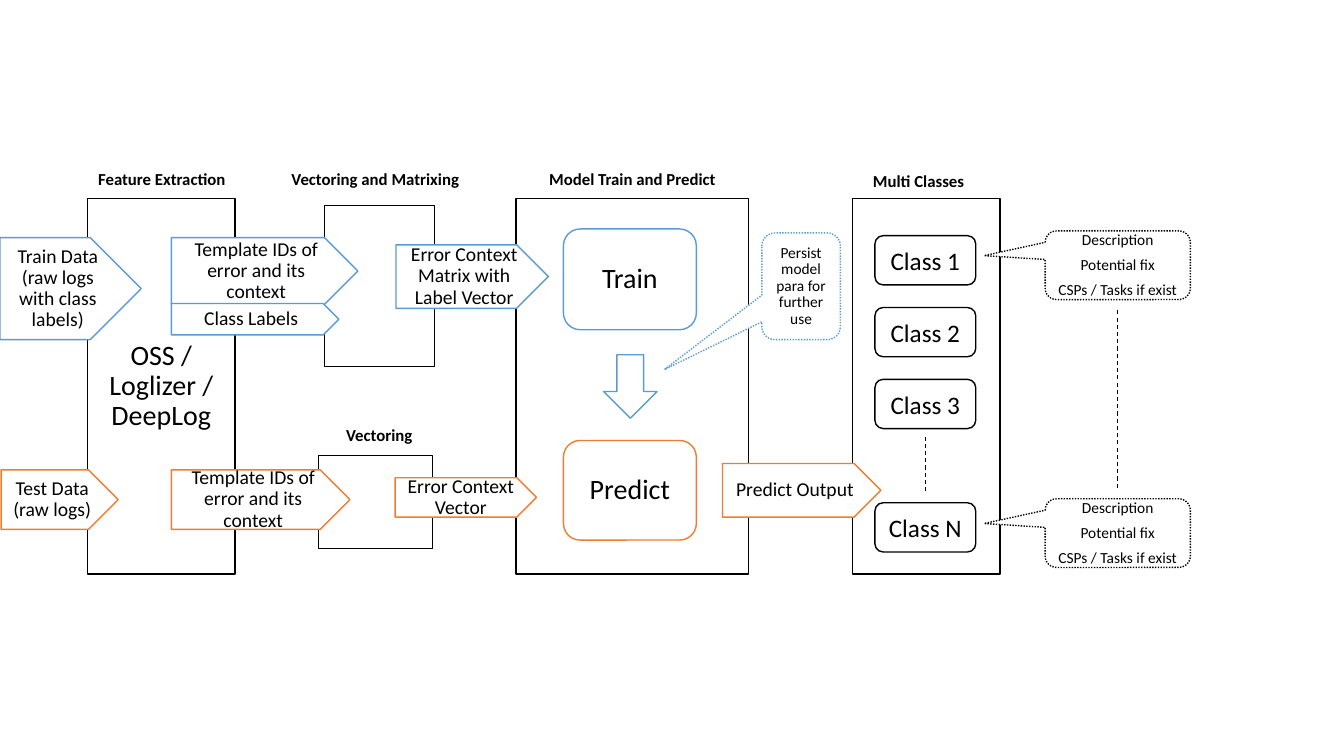
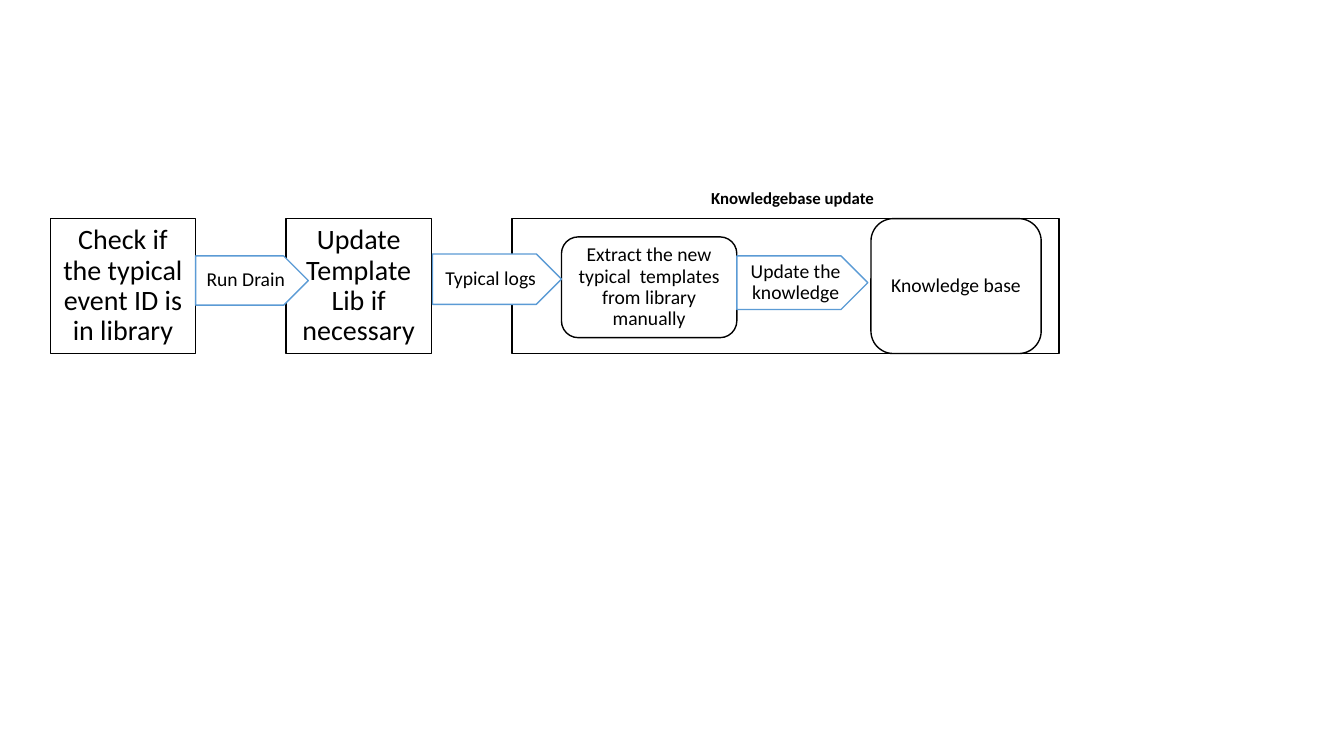
import dataclasses

import lxml.etree
import pptx
import pptx.dml.color
import pptx.enum.dml
import pptx.enum.shapes
import pptx.enum.text
import pptx.oxml.ns
import pptx.util

Cm = pptx.util.Cm
Pt = pptx.util.Pt
KIND = pptx.enum.shapes.MSO_SHAPE
DASH = pptx.enum.dml.MSO_LINE


# Shared look
@dataclasses.dataclass(frozen=True)
class Theme:
    font: str = "Calibri"
    ink: str = "000000"
    paper: str = "FFFFFF"
    train: str = "5B9BD5"
    test: str = "ED7D31"
    stage: int = 20
    label: int = 18
    step: int = 14
    heading: int = 12
    remark: int = 11
    outline: float = 1
    thin: float = 0.75


THEME = Theme()


def rgb(code):
    return pptx.dml.color.RGBColor.from_string(code)


def write(frame, text, size, bold=False, spacing=0.9, before=6):
    """Fill a frame with centred lines, one paragraph per line of text."""
    frame.word_wrap = True
    frame.vertical_anchor = pptx.enum.text.MSO_ANCHOR.MIDDLE
    frame.text = text
    for line in frame.paragraphs:
        line.alignment = pptx.enum.text.PP_ALIGN.CENTER
        line.line_spacing = spacing
        line.space_before = Pt(before)
        line.font.name = THEME.font
        line.font.size = Pt(size)
        line.font.bold = bold
        line.font.color.rgb = rgb(THEME.ink)


# Kinds of element
def outlined(slide, kind, box, color=THEME.ink, text="", size=THEME.step):
    shape = slide.shapes.add_shape(kind, *map(Cm, box))
    shape.shadow.inherit = False
    shape.fill.solid()
    shape.fill.fore_color.rgb = rgb(THEME.paper)
    shape.line.color.rgb = rgb(color)
    shape.line.width = Pt(THEME.outline)
    if text:
        write(shape.text_frame, text, size)
    return shape


def panel(slide, box, text=""):
    outlined(slide, KIND.RECTANGLE, box, text=text, size=THEME.stage)


def card(slide, box, text, color=THEME.ink, size=THEME.step):
    return outlined(slide, KIND.ROUNDED_RECTANGLE, box, color, text, size)


def flow(slide, box, text, color=THEME.train):
    outlined(slide, KIND.PENTAGON, box, color, text)


def class_card(slide, top, text):
    label = card(slide, (22.05, top, 2.54, 1.24), text)
    label.fill.background()
    write(label.text_frame, text, THEME.label, spacing=1.0, before=0)


def callout(slide, box, tip, text, color=THEME.ink, side_margin=0.25):
    bubble = outlined(slide, KIND.ROUNDED_RECTANGULAR_CALLOUT, box, color, text, THEME.remark)
    bubble.line.dash_style = DASH.ROUND_DOT
    bubble.adjustments[0], bubble.adjustments[1] = tip
    bubble.text_frame.margin_left = bubble.text_frame.margin_right = Cm(side_margin)


def heading(slide, left, top, width, text):
    box = slide.shapes.add_textbox(Cm(left), Cm(top), Cm(width), Cm(0.43))
    frame = box.text_frame
    frame.margin_left = frame.margin_right = frame.margin_top = frame.margin_bottom = 0
    write(frame, text, THEME.heading, bold=True, spacing=0.85, before=0)
    frame.auto_size = pptx.enum.text.MSO_AUTO_SIZE.SHAPE_TO_FIT_TEXT


def dashed_drop(slide, x, top, bottom):
    drop = slide.shapes.add_connector(
        pptx.enum.shapes.MSO_CONNECTOR.STRAIGHT, Cm(x), Cm(top), Cm(x), Cm(bottom))
    drop.line.color.rgb = rgb(THEME.ink)
    drop.line.width = Pt(THEME.thin)
    drop.line.dash_style = DASH.DASH
    lxml.etree.SubElement(drop._element.spPr, pptx.oxml.ns.qn("a:effectLst"))


# Slide 1: from raw logs to classes
def build_pipeline(slide):
    stage_top, stage_height = 5.0, 9.47
    train_top, test_top = 5.99, 11.84
    feature_left, template_left = 2.21, 4.32
    template_text = "Template IDs of error and its context"

    # Vectoring and model stages
    panel(slide, (8.03, 11.48, 2.87, 2.34))
    panel(slide, (8.18, 5.18, 2.77, 4.06))
    heading(slide, 7.06, 4.32, 4.8, "Vectoring and Matrixing")
    heading(slide, 7.16, 10.77, 4.8, "Vectoring")
    panel(slide, (13.0, stage_top, 5.87, stage_height))
    heading(slide, 12.55, 4.34, 6.78, "Model Train and Predict")
    card(slide, (14.2, 5.77, 3.35, 2.54), "Train", THEME.train, THEME.stage)
    card(slide, (14.2, 11.1, 3.35, 2.51), "Predict", THEME.test, THEME.stage)
    outlined(slide, KIND.DOWN_ARROW, (15.21, 8.94, 1.35, 1.6), THEME.train)
    callout(slide, (19.2, 5.87, 1.98, 2.69), (-1.74, 0.78),
            "Persist model para for further use", THEME.train)
    flow(slide, (9.98, 6.17, 3.84, 1.6), "Error Context Matrix with Label Vector")
    flow(slide, (9.96, 12.04, 3.56, 0.99), "Error Context Vector", THEME.test)

    # Feature extraction
    panel(slide, (feature_left, stage_top, 3.71, stage_height), "OSS / Loglizer / DeepLog")
    heading(slide, 2.34, 4.34, 3.48, "Feature Extraction")
    flow(slide, (0, train_top, 3.56, 2.57), "Train Data (raw logs with class labels)")
    flow(slide, (0.03, test_top, 2.95, 1.5), "Test Data (raw logs)", THEME.test)
    flow(slide, (template_left, test_top, 4.5, 1.5), template_text, THEME.test)
    flow(slide, (template_left, train_top, 4.7, 1.68), template_text)
    flow(slide, (template_left, 7.65, 4.22, 0.79), "Class Labels")

    # Classes and what is known about each
    panel(slide, (21.49, stage_top, 3.71, stage_height))
    heading(slide, 19.76, 4.37, 6.78, "Multi Classes")
    flow(slide, (18.21, 11.68, 3.99, 1.35), "Predict Output", THEME.test)
    for index in range(3):
        class_card(slide, 5.94 + 1.81 * index, f"Class {index + 1}")
    class_card(slide, 12.67, "Class N")
    dashed_drop(slide, 23.32, 11.0, 12.42)
    for top in (5.82, 12.57):
        callout(slide, (26.34, top, 3.66, 1.73), (-0.92, -0.14),
                "Description\nPotential fix\nCSPs / Tasks if exist", side_margin=0.05)
    dashed_drop(slide, 28.17, 7.82, 12.34)


# Slide 2: keeping the knowledge base current
def build_update(slide):
    top, height = 5.51, 3.4

    panel(slide, (12.9, top, 13.79, height))
    heading(slide, 17.22, 4.8, 5.51, "Knowledgebase update")
    card(slide, (14.15, 5.97, 4.42, 2.54),
         "Extract the new typical  templates from library manually")
    card(slide, (21.95, top, 4.29, height), "Knowledge base")
    flow(slide, (18.57, 6.45, 3.3, 1.35), "Update the knowledge")

    panel(slide, (1.27, top, 3.66, height), "Check if the typical event ID is in library")
    panel(slide, (7.21, top, 3.66, height), "Update Template Lib if necessary")
    flow(slide, (4.93, 6.45, 2.84, 1.24), "Run Drain")
    flow(slide, (10.9, 6.4, 3.25, 1.27), "Typical logs")


def main():
    deck = pptx.Presentation()
    deck.slide_width, deck.slide_height = Cm(33.87), Cm(19.05)
    blank = deck.slide_layouts[6]
    for build in (build_pipeline, build_update):
        build(deck.slides.add_slide(blank))
    deck.save("out.pptx")


main()
